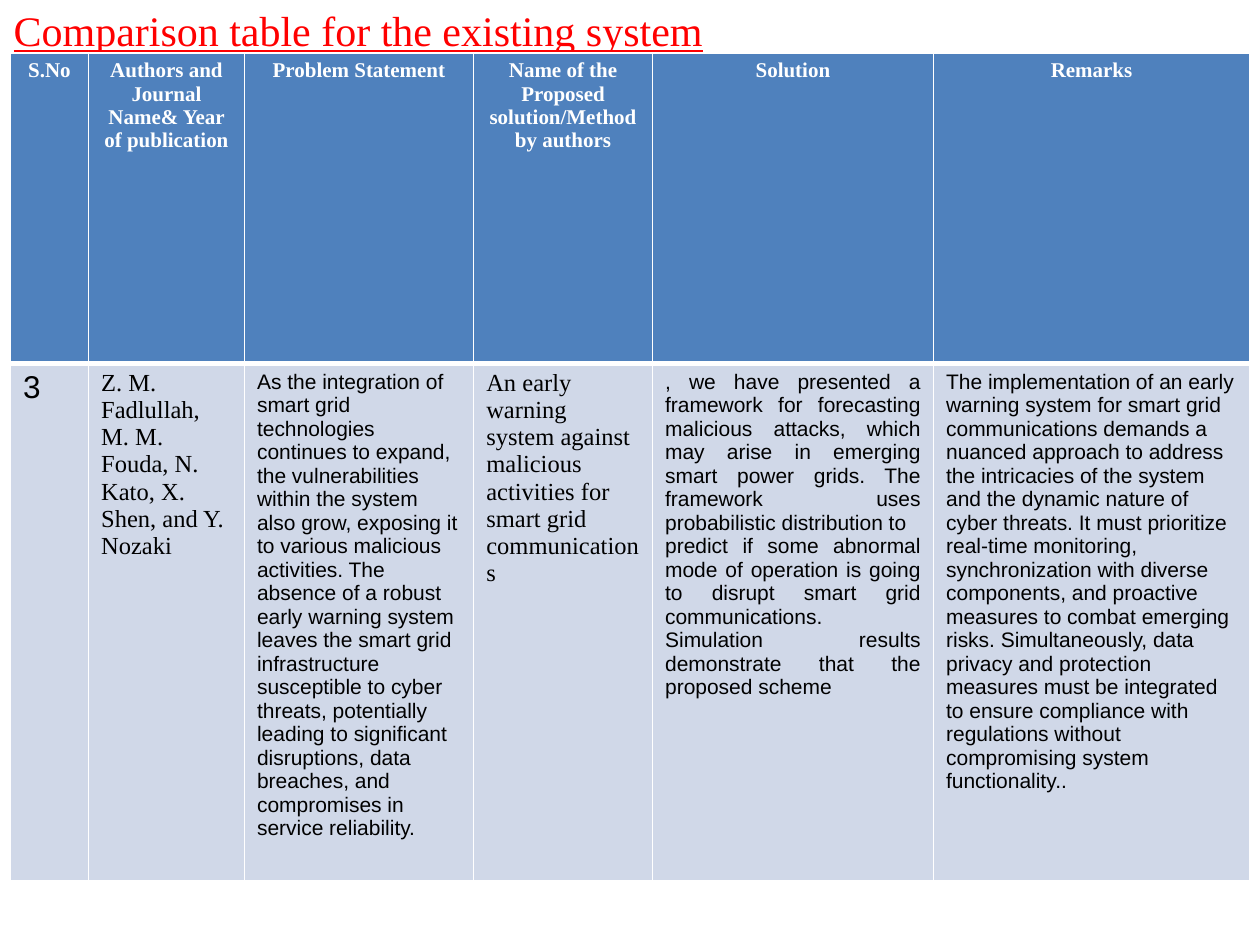
"""Build a slide with a comparison table of an existing smart grid system."""
from lxml import etree
from pptx import Presentation
from pptx import util as u
from pptx.dml.color import RGBColor
from pptx.enum import text
from pptx.oxml.ns import qn

RED = RGBColor(0xFF, 0x00, 0x00)
WHITE = RGBColor(0xFF, 0xFF, 0xFF)
BLACK = RGBColor(0x00, 0x00, 0x00)
BLUE = RGBColor(0x4F, 0x81, 0xBD)
PALE = RGBColor(0xD0, 0xD8, 0xE8)
SERIF, SANS = "Times New Roman", "Arial"
LEFT, CENTER, JUSTIFY = (text.PP_ALIGN.LEFT, text.PP_ALIGN.CENTER,
                         text.PP_ALIGN.JUSTIFY)


class Deck:
    def __init__(self, prs):
        self.s = prs.slides.add_slide(prs.slide_layouts[6])

    def set_text(self, tf, paragraphs, size, name, color, align=LEFT, bold=False,
                 underline=False):
        tf.word_wrap = True
        for i, line in enumerate(paragraphs):
            p = tf.paragraphs[0] if i == 0 else tf.add_paragraph()
            p.text = line
            p.alignment = align
            f = p.font
            f.size, f.name, f.bold, f.underline = u.Pt(size), name, bold, underline
            f.color.rgb = color

    def title(self, line, x, y, w, h):
        sp = self.s.shapes.add_textbox(u.Pt(x), u.Pt(y), u.Pt(w), u.Pt(h))
        self.set_text(sp.text_frame, [line], 24, SERIF, RED, underline=True)

    def borders(self, cell, bottom):
        tcPr = cell._tc.get_or_add_tcPr()
        for side, width in (("L", 1), ("R", 1), ("T", 1), ("B", bottom)):
            ln = etree.SubElement(tcPr, qn(f"a:ln{side}"), w=str(u.Pt(width)))
            fill = etree.SubElement(ln, qn("a:solidFill"))
            etree.SubElement(fill, qn("a:srgbClr"), val=str(WHITE))

    def cell(self, cell, fill, bottom, paragraphs, *style):
        self.borders(cell, bottom)
        cell.fill.solid()
        cell.fill.fore_color.rgb = fill
        self.set_text(cell.text_frame, paragraphs, *style)

    def table(self, x, y, widths, heights, headings, entries):
        tbl = self.s.shapes.add_table(
            2, len(widths), u.Pt(x), u.Pt(y), u.Pt(sum(widths)),
            u.Pt(sum(heights))).table
        for row, height in zip(tbl.rows, heights):
            row.height = u.Pt(height)
        for i, width in enumerate(widths):
            tbl.columns[i].width = u.Pt(width)
            self.cell(tbl.cell(0, i), BLUE, 3, [headings[i]],
                      12, SERIF, WHITE, CENTER, True)
            paragraphs, size, name, align = entries[i]
            self.cell(tbl.cell(1, i), PALE, 1, paragraphs,
                      size, name, BLACK, align)


HEADINGS = [
    "S.No",
    "Authors and Journal Name& Year of publication",
    "Problem Statement",
    "Name of the Proposed solution/Method by authors",
    " Solution ",
    "Remarks",
]
ENTRIES = [
    (["3"], 18, SANS, LEFT),
    (["Z. M. Fadlullah, M. M. Fouda, N. Kato, X. Shen, and Y. Nozaki"],
     14, SERIF, LEFT),
    (["As the integration of smart grid technologies continues to expand, the "
      "vulnerabilities within the system also grow, exposing it to various "
      "malicious activities. The absence of a robust early warning system "
      "leaves the smart grid infrastructure susceptible to cyber threats, "
      "potentially leading to significant disruptions, data breaches, and "
      "compromises in service reliability. "], 12, SANS, LEFT),
    (["An early warning system against malicious activities for smart grid "
      "communications"], 14, SERIF, LEFT),
    ([", we have presented a framework for forecasting malicious attacks, "
      "which may arise in emerging smart power grids. The framework uses "
      "probabilistic distribution to",
      "predict if some abnormal mode of operation is going to disrupt smart "
      "grid communications. Simulation results demonstrate that the proposed "
      "scheme"], 12, SANS, JUSTIFY),
    (["The implementation of an early warning system for smart grid "
      "communications demands a nuanced approach to address the intricacies "
      "of the system and the dynamic nature of cyber threats. It must "
      "prioritize real-time monitoring, synchronization with diverse "
      "components, and proactive measures to combat emerging risks. "
      "Simultaneously, data privacy and protection measures must be "
      "integrated to ensure compliance with regulations without compromising "
      "system functionality.."], 12, SANS, LEFT),
]

prs = Presentation()
prs.slide_width, prs.slide_height = u.Pt(720), u.Pt(540)
deck = Deck(prs)
deck.title("Comparison table for the existing system", 0.7, -0.7, 708, 36)
deck.table(6, 30.2, [44.6, 89.1, 131, 102.2, 160.6, 180.7], [177.6, 295],
           HEADINGS, ENTRIES)
prs.save("out.pptx")
